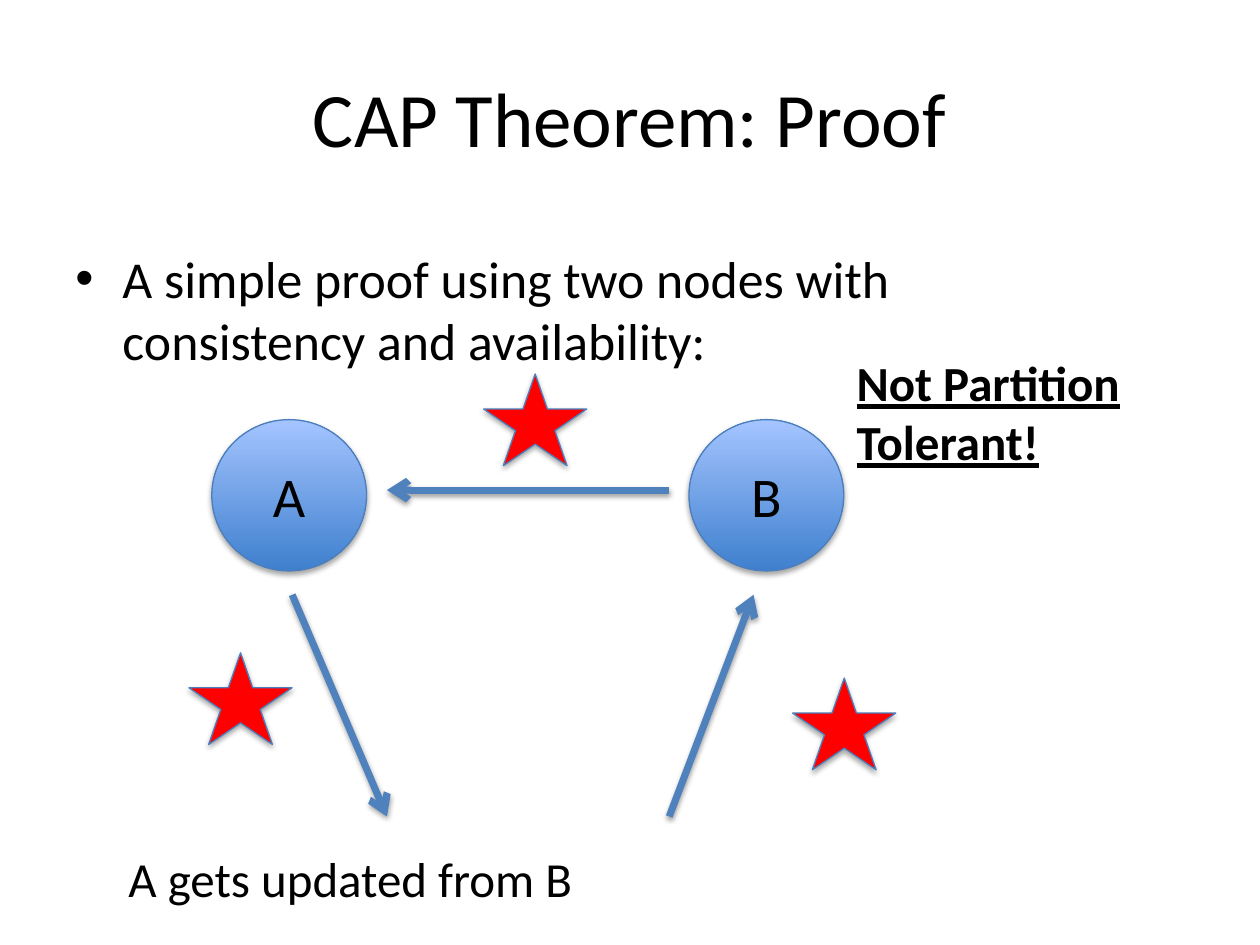
from lxml.etree import SubElement
from pptx import Presentation
from pptx.dml.color import RGBColor
from pptx.enum.shapes import MSO_CONNECTOR as Connector, MSO_SHAPE as Shape
from pptx.enum.text import MSO_ANCHOR as Anchor, PP_ALIGN as Align
from pptx.oxml.ns import qn
from pptx.util import Cm, Pt

COLORS = {
    "text": "000000",
    "outline": "4B7EBC",
    "arrow": "4F81BD",
    "star": "FF0000",
    "node_bottom": "3F80CE",
    "node_top": "A4C4FF",
    "shadow": "000000",
}


def rgb(name):
    return RGBColor.from_string(COLORS[name])


class Diagram:
    """Holds the style and the current slide; all positions are in centimetres."""

    font = "Calibri"
    node_size = (3.12, 3.05)
    star_size = (2.08, 1.85)

    def __init__(self, page):
        self.page = page

    def set_text(self, frame, text, size, align=Align.LEFT, anchor=Anchor.TOP, strong=False):
        frame.text = text
        frame.word_wrap = True
        frame.vertical_anchor = anchor
        para = frame.paragraphs[0]
        para.alignment = align
        for span in para.runs:
            span.font.name = self.font
            span.font.size = Pt(size)
            span.font.color.rgb = rgb("text")
            if strong:
                span.font.bold = True
                span.font.underline = True
        return para

    def shadow(self, item, distance, opacity):
        """Drop a soft shadow straight down; call after fill and line are set."""
        properties = item._element.spPr
        effects = properties.find(qn("a:effectLst"))
        if effects is None:
            effects = SubElement(properties, qn("a:effectLst"))
        outer = SubElement(effects, qn("a:outerShdw"), blurRad="40000",
                           dist=str(distance), dir="5400000", rotWithShape="0")
        color = SubElement(outer, qn("a:srgbClr"), val=COLORS["shadow"])
        SubElement(color, qn("a:alpha"), val=str(opacity * 1000))

    def title(self, text, left, top, width, height):
        box = self.page.shapes.title
        box.left, box.top, box.width, box.height = map(Cm, (left, top, width, height))
        self.set_text(box.text_frame, text, 44, Align.CENTER, Anchor.MIDDLE)

    def text(self, text, left, top, width, height, size=28, strong=False):
        box = self.page.shapes.add_textbox(*map(Cm, (left, top, width, height)))
        return self.set_text(box.text_frame, text, size, strong=strong)

    def bullet(self, text, left, top, width, height, size):
        para = self.text(text, left, top, width, height, size)
        properties = para._p.get_or_add_pPr()
        indent = Cm(0.95)
        properties.set("marL", str(indent))
        properties.set("indent", str(-indent))
        SubElement(properties, qn("a:buFont"), typeface="Arial")
        SubElement(properties, qn("a:buChar"), char="•")

    def outlined(self, kind, left, top, size):
        shape = self.page.shapes.add_shape(kind, *map(Cm, (left, top, *size)))
        shape.shadow.inherit = False
        shape.line.color.rgb = rgb("outline")
        shape.line.width = Pt(0.75)
        self.shadow(shape, distance=23000, opacity=35)
        return shape

    def node(self, name, left, top):
        circle = self.outlined(Shape.OVAL, left, top, self.node_size)
        circle.fill.gradient()
        circle.fill.gradient_angle = 90
        for stop, color, position in zip(circle.fill.gradient_stops,
                                         ("node_bottom", "node_top"), (0, 1)):
            stop.color.rgb = rgb(color)
            stop.position = position
        self.set_text(circle.text_frame, name, 32, Align.CENTER, Anchor.MIDDLE)

    def star(self, left, top):
        star = self.outlined(Shape.STAR_5_POINT, left, top, self.star_size)
        star.fill.solid()
        star.fill.fore_color.rgb = rgb("star")

    def arrow(self, start, end):
        arrow = self.page.shapes.add_connector(Connector.STRAIGHT, *map(Cm, start + end))
        arrow.line.color.rgb = rgb("arrow")
        arrow.line.width = Pt(4)
        outline = arrow._element.spPr.find(qn("a:ln"))
        SubElement(outline, qn("a:tailEnd"), type="arrow")
        self.shadow(arrow, distance=20000, opacity=38)


def main():
    deck = Presentation()
    deck.slide_width, deck.slide_height = Cm(25.4), Cm(19.05)
    diagram = Diagram(deck.slides.add_slide(deck.slide_layouts[5]))

    diagram.title("CAP Theorem: Proof", 1.27, 0.76, 22.86, 3.18)
    diagram.bullet("A simple proof using two nodes with consistency and availability:",
                   1.27, 4.85, 20.42, 2.31, 29.6)

    node_top = 8.46
    diagram.node("A", 4.27, node_top)
    diagram.node("B", 13.89, node_top)

    left_x, right_x = 7.8, 13.49
    message_y, upper_y, lower_y = 9.88, 11.99, 16.46
    diagram.arrow((right_x, lower_y), (15.19, upper_y))
    diagram.star(15.98, 13.67)
    diagram.arrow((5.89, upper_y), (left_x, lower_y))
    diagram.text("Not Partition Tolerant!", 17.02, 6.99, 7.82, 2.64, strong=True)
    diagram.text("A gets updated from B", 2.34, 16.99, 10.11, 1.45)
    diagram.star(3.81, 13.16)
    diagram.arrow((right_x, message_y), (left_x, message_y))
    diagram.star(9.75, 7.54)

    deck.save("out.pptx")


if __name__ == "__main__":
    main()
